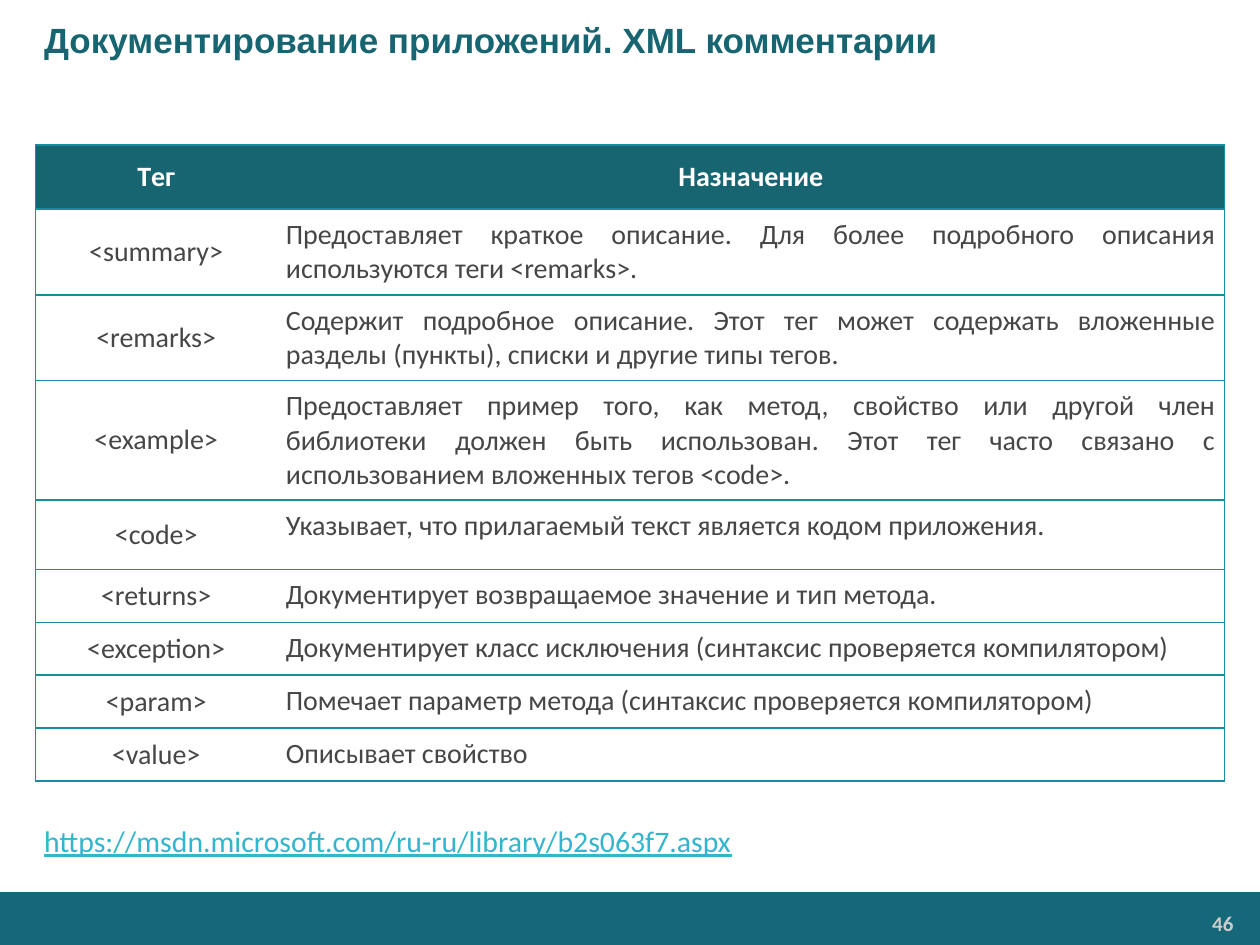
from lxml import etree
from pptx import Presentation
from pptx.dml.color import RGBColor
from pptx.enum.shapes import MSO_SHAPE
from pptx.enum.text import MSO_ANCHOR, PP_ALIGN
from pptx.oxml.ns import qn
from pptx.util import Inches, Pt

LEFT, CENTER, RIGHT, JUSTIFY = PP_ALIGN.LEFT, PP_ALIGN.CENTER, PP_ALIGN.RIGHT, PP_ALIGN.JUSTIFY
TOP, MIDDLE = MSO_ANCHOR.TOP, MSO_ANCHOR.MIDDLE
WIDTH, HEIGHT = 10, 7.5
TEAL, BAR, BORDER, BODY, LINK, WHITE = "176571", "146878", "1B8BA0", "464547", "32B6CE", "FFFFFF"

TITLE = "Документирование приложений. XML комментарии"
URL = "https://msdn.microsoft.com/ru-ru/library/b2s063f7.aspx"
HEADINGS = ("Tег", "Назначение")
COLUMN_WIDTHS = (1.92, 7.52)
HEADER_HEIGHT = 0.51
# tag, purpose, row height, alignment of the purpose
TAGS = [
    ("<summary>", "Предоставляет краткое описание. Для более подробного описания "
     "используются теги <remarks>.", 0.68, JUSTIFY),
    ("<remarks>", "Содержит подробное описание. Этот тег может содержать вложенные "
     "разделы (пункты), списки и другие типы тегов.", 0.68, JUSTIFY),
    ("<example>", "Предоставляет пример того, как метод, свойство или другой член "
     "библиотеки должен быть использован. Этот тег часто связано с "
     "использованием вложенных тегов <code>.", 0.95, JUSTIFY),
    ("<code>", "Указывает, что прилагаемый текст является кодом приложения.", 0.55, JUSTIFY),
    ("<returns>", "Документирует возвращаемое значение и тип метода.", 0.42, JUSTIFY),
    ("<exception>", "Документирует класс исключения (синтаксис проверяется компилятором)",
     0.42, LEFT),
    ("<param>", "Помечает параметр метода (синтаксис проверяется компилятором)", 0.42, LEFT),
    ("<value>", "Описывает свойство", 0.42, LEFT),
]


def color(value):
    return RGBColor.from_string(value)


def inches(*lengths):
    return [Inches(length) for length in lengths]


def write(frame, text, size=16, font="Calibri", fill=BODY, bold=False,
          underline=False, align=LEFT):
    paragraph = frame.paragraphs[0]
    paragraph.alignment = align
    run = paragraph.add_run()
    run.text = text
    run.font.size, run.font.name = Pt(size), font
    run.font.bold, run.font.underline = bold, underline
    run.font.color.rgb = color(fill)


def set_insets(target, left, top, right, bottom):
    target.margin_left, target.margin_top, target.margin_right, target.margin_bottom = inches(
        left, top, right, bottom)


def set_borders(cell, visible_sides):
    properties = cell._tc.get_or_add_tcPr()
    for position, side in enumerate("LRTB"):
        line = etree.Element(qn(f"a:ln{side}"), w=str(Pt(1)))
        if side in visible_sides:
            fill = etree.SubElement(line, qn("a:solidFill"))
            etree.SubElement(fill, qn("a:srgbClr"), val=BORDER)
        else:
            etree.SubElement(line, qn("a:noFill"))
        properties.insert(position, line)


def add_title(slide, box):
    title = slide.shapes.title
    title.left, title.top, title.width, title.height = inches(*box)
    frame = title.text_frame
    set_insets(frame, 0.35, 0.05, 0.1, 0.05)
    frame.vertical_anchor = MIDDLE
    write(frame, TITLE, size=20, font="Arial", fill=TEAL, bold=True)


def add_text_box(slide, box, text, insets, wrap=True, **text_format):
    frame = slide.shapes.add_textbox(*inches(*box)).text_frame
    frame.word_wrap = wrap
    set_insets(frame, *insets)
    write(frame, text, **text_format)


def add_footer(slide, box):
    left, top, width, height = box
    bar = slide.shapes.add_shape(MSO_SHAPE.RECTANGLE, *inches(*box))
    bar.shadow.inherit = False
    bar.fill.solid()
    bar.fill.fore_color.rgb = color(BAR)
    bar.line.fill.background()
    number_width = 1.63
    add_text_box(slide, (left + width - number_width - 0.14, top + 0.11, number_width, 0.28),
                 "46", (0.07, 0.04, 0.07, 0.04), size=12, fill="CCCCCC", bold=True, align=RIGHT)


def fill_cell(cell, text, background, sides, anchor, **text_format):
    cell.fill.solid()
    cell.fill.fore_color.rgb = color(background)
    set_borders(cell, sides)
    set_insets(cell, 0.07, 0.07, 0.07, 0.07)
    cell.vertical_anchor = anchor
    write(cell.text_frame, text, **text_format)


def add_tag_table(slide, left, top):
    heights = [HEADER_HEIGHT] + [height for _, _, height, _ in TAGS]
    table = slide.shapes.add_table(
        len(heights), len(COLUMN_WIDTHS),
        *inches(left, top, sum(COLUMN_WIDTHS), sum(heights))).table
    table.horz_banding = False
    for column, width in zip(table.columns, COLUMN_WIDTHS):
        column.width = Inches(width)
    for row, height in zip(table.rows, heights):
        row.height = Inches(height)
    for column, (heading, sides) in enumerate(zip(HEADINGS, ("LTB", "RTB"))):
        fill_cell(table.cell(0, column), heading, TEAL, sides, MIDDLE,
                  fill=WHITE, bold=True, align=CENTER)
    for row, (tag, purpose, _, align) in enumerate(TAGS, start=1):
        fill_cell(table.cell(row, 0), tag, WHITE, "LTB", MIDDLE, align=CENTER)
        fill_cell(table.cell(row, 1), purpose, WHITE, "RTB", TOP, align=align)


def main():
    presentation = Presentation()
    presentation.slide_width, presentation.slide_height = inches(WIDTH, HEIGHT)
    slide = presentation.slides.add_slide(presentation.slide_layouts[5])
    add_footer(slide, (0, 7.08, WIDTH, HEIGHT - 7.08))
    add_title(slide, (0, 0, WIDTH, 0.63))
    add_tag_table(slide, (WIDTH - sum(COLUMN_WIDTHS)) / 2, 1.15)
    add_text_box(slide, (0.3, 6.48, 5.63, 0.39), URL, (0.05, 0.05, 0.05, 0.05),
                 wrap=False, size=17, fill=LINK, underline=True)
    presentation.save("out.pptx")


if __name__ == "__main__":
    main()
